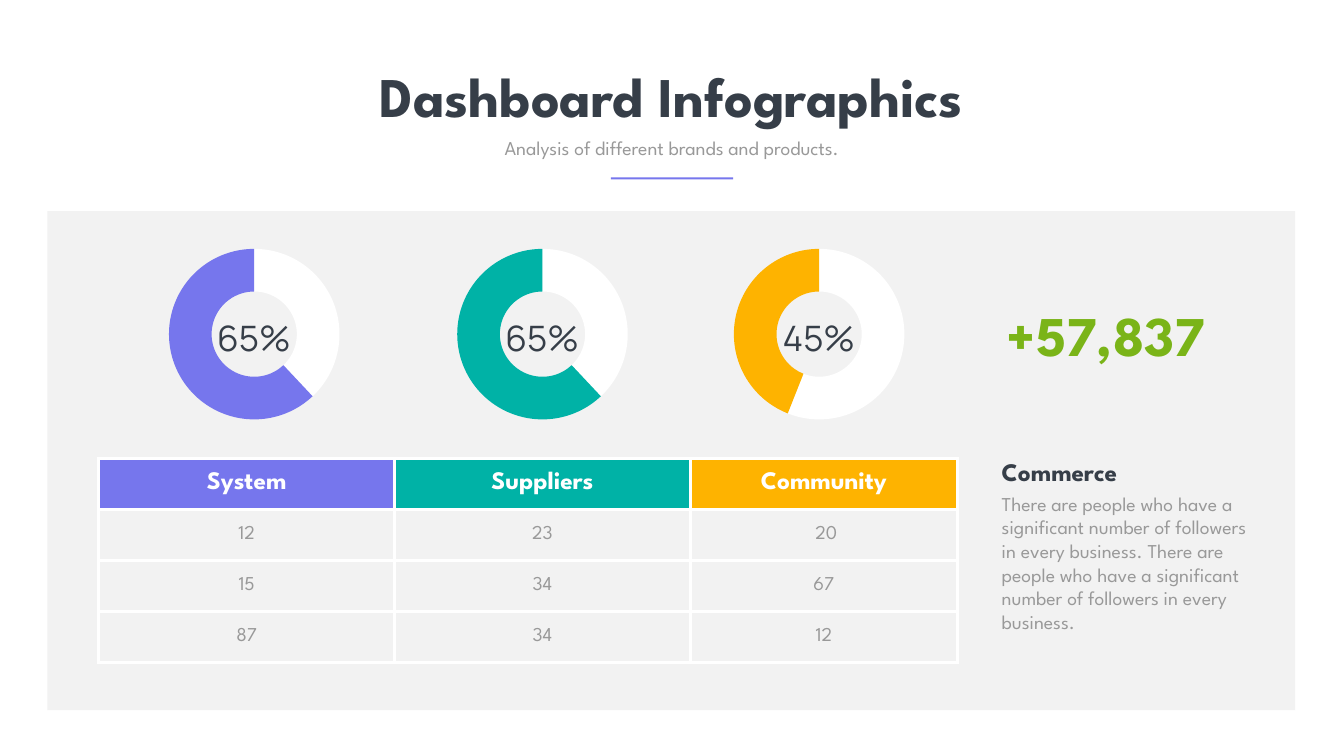
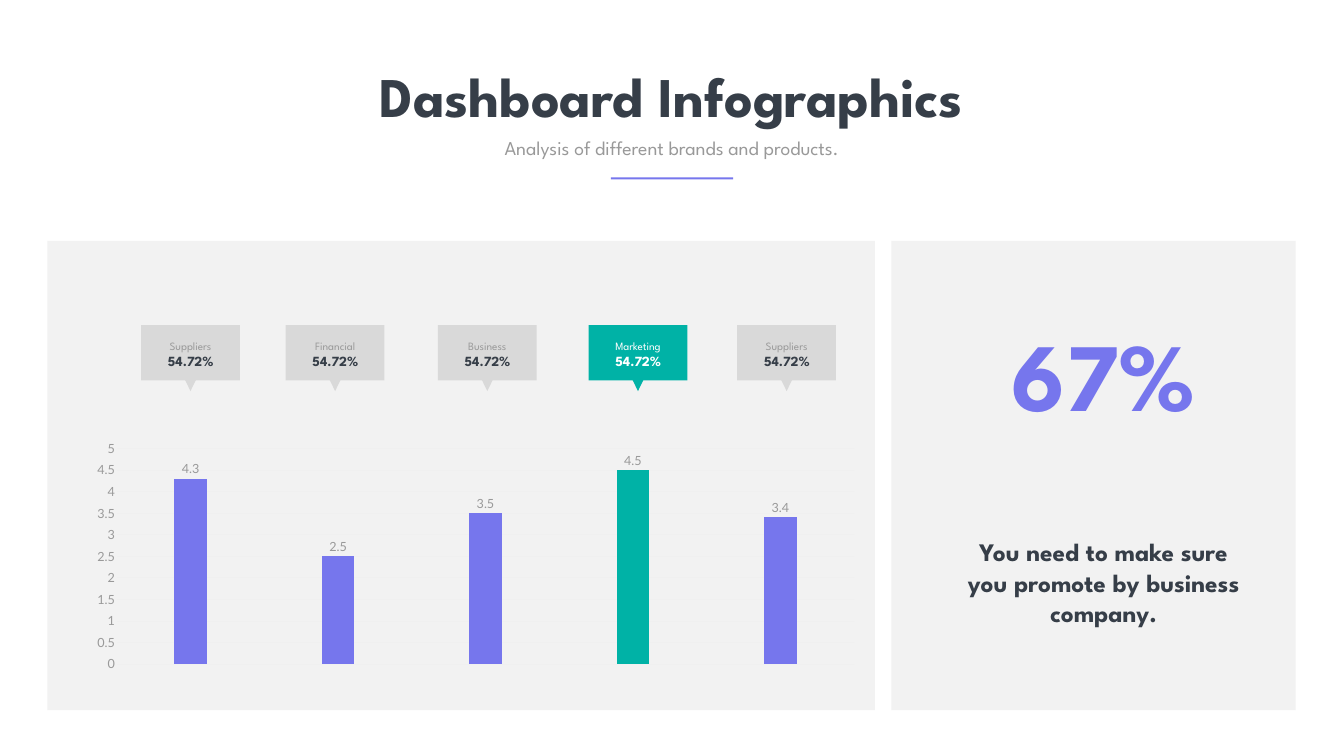
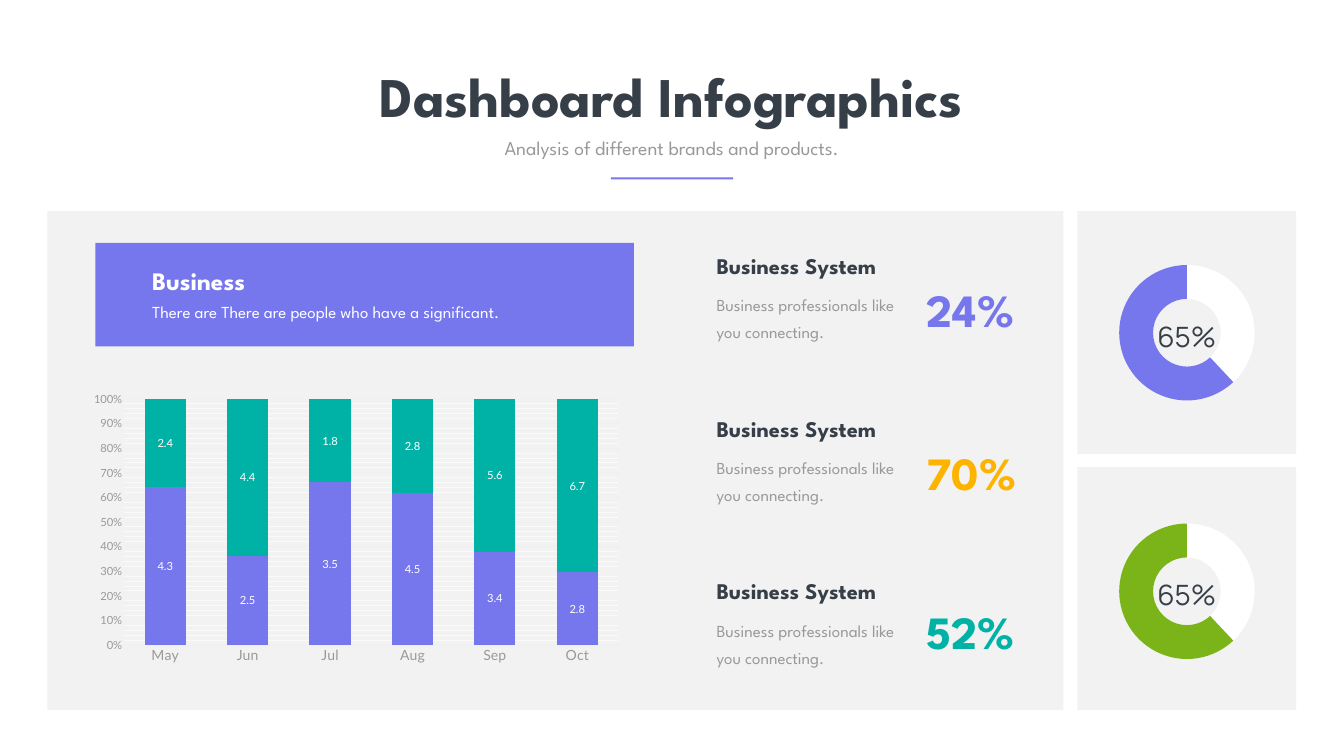
from dataclasses import dataclass
from typing import NamedTuple

from lxml.etree import SubElement
from pptx import Presentation
from pptx.chart.chart import Chart
from pptx.chart.data import CategoryChartData as Data
from pptx.dml.color import RGBColor
from pptx.dml.fill import FillFormat as Fill
from pptx.enum.chart import XL_CHART_TYPE as Kind
from pptx.enum.chart import XL_LABEL_POSITION as Spot
from pptx.enum.chart import XL_TICK_MARK as Tick
from pptx.enum.shapes import MSO_SHAPE as Form
from pptx.enum.text import MSO_ANCHOR as Anchor
from pptx.enum.text import MSO_AUTO_SIZE as Auto
from pptx.enum.text import PP_ALIGN as Align
from pptx.oxml.ns import qn
from pptx.oxml.xmlchemy import BaseOxmlElement as Node
from pptx.shapes.autoshape import Shape
from pptx.slide import Slide
from pptx.text.text import Font
from pptx.util import Inches, Pt

# Shared colours and fonts
VIOLET, TEAL, AMBER, GREEN = "7676ED", "00B2A6", "FEB300", "7AB418"
INK, GREY, PALE, SILVER, WHITE = "363E48", "999999", "F2F2F2", "D9D9D9", "FFFFFF"
GRID, FINE = "F0F0F0", "FAFAFA"
SPARTAN, LATO, MANROPE = "League Spartan", "Lato", "Manrope"


class Box(NamedTuple):
    left: float
    top: float
    width: float
    height: float


class Style(NamedTuple):
    size: float
    color: str
    bold: bool = False
    face: str = SPARTAN


@dataclass
class Ring:
    left: float
    top: float
    color: str
    rest: int
    label: str
    scale: float = 1


@dataclass
class Flag:
    left: float
    name: str
    fill: str = SILVER
    soft: str = GREY
    strong: str = INK


@dataclass
class Stat:
    value: str
    color: str
    top: float


HEAD = Style(36, INK, True)
BODY = Style(28, GREY)


# Basic parts
def rgb(code: str) -> RGBColor:
    return RGBColor.from_string(code)


def paint(fill: Fill, color: str) -> None:
    fill.solid()
    fill.fore_color.rgb = rgb(color)


def stroke(node: Node, tag: str, width: float, color: str) -> None:
    """Add a solid line element under an XML node."""
    line = SubElement(node, qn(tag), w=str(Pt(width)))
    SubElement(SubElement(line, qn("a:solidFill")), qn("a:srgbClr"), val=color)


def dress(font: Font, style: Style) -> None:
    font.size = Pt(style.size)
    font.name = style.face
    font.bold = style.bold
    font.color.rgb = rgb(style.color)


def place(box: Box) -> list[int]:
    return [Inches(n) for n in box]


def block(slide: Slide, box: Box, color: str = PALE, form: Form = Form.RECTANGLE) -> Shape:
    shape = slide.shapes.add_shape(form, *place(box))
    shape.shadow.inherit = False
    paint(shape.fill, color)
    shape.line.fill.background()
    return shape


def write(shape: Shape, words: str, style: Style, align: Align, wrap: bool, pitch: float) -> None:
    frame = shape.text_frame
    frame.word_wrap = wrap
    frame.auto_size = Auto.SHAPE_TO_FIT_TEXT
    frame.vertical_anchor = Anchor.TOP
    para = frame.paragraphs[0]
    para.alignment = align
    if pitch:
        para.line_spacing = Pt(pitch)
    run = para.add_run()
    run.text = words
    dress(run.font, style)


def text(slide: Slide, box: Box, words: str, style: Style, align: Align = Align.LEFT,
         wrap: bool = True, pitch: float = 0) -> None:
    write(slide.shapes.add_textbox(*place(box)), words, style, align, wrap, pitch)


def start(deck: Presentation) -> Slide:
    """Add a slide with the title, subtitle and accent rule."""
    slide = deck.slides.add_slide(deck.slide_layouts[5])
    title = slide.shapes.title
    title.left, title.top, title.width, title.height = place(Box(6.69, 1.17, 13.27, 1.45))
    write(title, "Dashboard Infographics", Style(80, INK, True), Align.CENTER, False, 0)
    text(slide, Box(8.55, 2.65, 9.56, 0.57), "Analysis of different brands and products.",
         BODY, Align.CENTER)
    block(slide, Box(12.12, 3.52, 2.43, 0.04), VIOLET)
    return slide


# Charts
def graph(slide: Slide, box: Box, kind: Kind, cats: list[str],
          rows: list[list[float]], style: Style) -> Chart:
    data = Data()
    data.categories = cats
    for num, row in enumerate(rows, 1):
        data.add_series(f"Series {num}", row)
    chart = slide.shapes.add_chart(kind, *place(box), data).chart
    chart.has_legend = False
    chart.has_title = False
    dress(chart.font, style)
    return chart


def bars(slide: Slide, box: Box, kind: Kind, cats: list[str], rows: list[list[float]],
         size: float, gap: int, lap: int, tag: str, spot: Spot) -> Chart:
    chart = graph(slide, box, kind, cats, rows, Style(size, GREY, face=LATO))
    plot = chart.plots[0]
    plot.vary_by_categories = False
    plot.gap_width, plot.overlap = gap, lap
    for series, color in zip(plot.series, (VIOLET, TEAL)):
        paint(series.format.fill, color)
        labels = series.data_labels
        labels.show_value = True
        labels.position = spot
        dress(labels.font, Style(size, tag, face=LATO))
    axis = chart.value_axis
    axis.major_tick_mark = axis.minor_tick_mark = Tick.NONE
    axis.format.line.fill.background()
    axis.has_major_gridlines = True
    line = axis.major_gridlines.format.line
    line.width = Pt(0.75)
    paint(line.fill, GRID)
    return chart


def donut(slide: Slide, ring: Ring) -> None:
    def scaled(x: float, y: float, wide: float, high: float) -> Box:
        k = ring.scale
        return Box(ring.left + x * k, ring.top + y * k, wide * k, high * k)

    chart = graph(slide, scaled(0, 0, 5.49, 3.66), Kind.DOUGHNUT, ["1", "2"],
                  [[ring.rest, 100 - ring.rest]], Style(10, GREY, face="Calibri"))
    plot = chart.plots[0]
    plot.has_data_labels = False
    chart.element.find(".//" + qn("c:holeSize")).set("val", "75")
    for num, color in enumerate((WHITE, ring.color)):
        part = plot.series[0].points[num].format
        paint(part.fill, color)
        part.line.fill.background()
    text(slide, scaled(1.7, 1.44, 2.08, 0.81), ring.label,
         Style(round(50 * ring.scale), INK, face=MANROPE), Align.CENTER)


# Table
def grid(slide: Slide, box: Box, widths: list[float], rows: list[list[str]],
         heads: list[str]) -> None:
    table = slide.shapes.add_table(len(rows), len(widths), *place(box)).table
    table.horz_banding = False
    for col, width in zip(table.columns, widths):
        col.width = Inches(width)
    for r, row in enumerate(rows):
        table.rows[r].height = Inches(box.height / len(rows))
        for c, words in enumerate(row):
            cell = table.cell(r, c)
            props = cell._tc.get_or_add_tcPr()
            for side in ("L", "R", "T", "B"):
                stroke(props, f"a:ln{side}", 4.5, WHITE)
            paint(cell.fill, PALE if r else heads[c])
            cell.vertical_anchor = Anchor.MIDDLE
            cell.margin_left = cell.margin_right = Inches(0.09)
            cell.margin_top = cell.margin_bottom = Inches(0.04)
            para = cell.text_frame.paragraphs[0]
            para.alignment = Align.CENTER
            run = para.add_run()
            run.text = words
            dress(run.font, BODY if r else Style(36, WHITE, True))


# Slides
def totals(deck: Presentation) -> None:
    slide = start(deck)
    block(slide, Box(0.94, 4.19, 24.76, 9.9))
    grid(slide, Box(1.96, 9.09, 17.04, 4.05), [5.87, 5.87, 5.3],
         [["System", "Suppliers", "Community"],
          ["12", "23", " 20"], ["15", "34", "67"], ["87", "34", "12"]],
         [VIOLET, TEAL, AMBER])
    for ring in (Ring(2.3, 4.8, VIOLET, 38, "65%"), Ring(8.02, 4.8, TEAL, 38, "65%"),
                 Ring(13.51, 4.8, AMBER, 56, "45%")):
        donut(slide, ring)
    text(slide, Box(19.78, 9, 5.54, 0.71), "Commerce", HEAD)
    claim = "There are people who have a significant number of followers in every business."
    text(slide, Box(19.78, 9.71, 5.25, 3.87), f"{claim} {claim}", BODY)
    text(slide, Box(19.78, 5.91, 4.33, 1.45), "+57,837", Style(80, GREEN, True),
         Align.CENTER, False)


def flags(deck: Presentation) -> None:
    slide = start(deck)
    block(slide, Box(0.94, 4.78, 16.42, 9.31))
    block(slide, Box(17.69, 4.78, 8.02, 9.31))
    chart = bars(slide, Box(1.62, 8.65, 15.64, 4.77), Kind.COLUMN_CLUSTERED,
                 ["1", "2", "3", "4", "5"], [[4.3, 2.5, 3.5, 4.5, 3.4]],
                 18, 350, -27, GREY, Spot.OUTSIDE_END)
    chart.category_axis.visible = False
    axis = chart.value_axis
    axis.minimum_scale, axis.maximum_scale, axis.major_unit = 0, 5, 0.5
    paint(chart.plots[0].series[0].points[3].format.fill, TEAL)

    # Callouts above the columns
    for flag in (Flag(2.8, "Suppliers"), Flag(5.67, "Financial"), Flag(8.69, "Business"),
                 Flag(11.68, "Marketing", TEAL, WHITE, WHITE), Flag(14.63, "Suppliers")):
        block(slide, Box(flag.left, 6.45, 1.96, 1.1), flag.fill)
        tip = block(slide, Box(flag.left + 0.81, 7.41, 0.34, 0.35), flag.fill,
                    Form.ISOSCELES_TRIANGLE)
        tip.rotation = 180
        text(slide, Box(flag.left, 6.39, 1.96, 0.58), flag.name, Style(16, flag.soft),
             Align.CENTER, pitch=40.8)
        text(slide, Box(flag.left + 0.36, 6.95, 1.25, 0.44), "54.72%",
             Style(20, flag.strong, True), Align.CENTER)

    text(slide, Box(19.08, 10.6, 5.64, 1.92),
         "You need to make sure you promote by business company.", HEAD, Align.CENTER)
    text(slide, Box(19.89, 6.2, 4.03, 2.42), "67%", Style(138, VIOLET, True),
         Align.CENTER, False)


def months(deck: Presentation) -> None:
    slide = start(deck)
    block(slide, Box(0.94, 4.19, 20.16, 9.9))

    # Banner
    band = block(slide, Box(1.89, 4.82, 10.69, 2.05), VIOLET, Form.ROUNDED_RECTANGLE)
    band.adjustments[0] = 0
    text(slide, Box(2.92, 5.22, 5.52, 0.71), "Business", Style(36, WHITE, True))
    text(slide, Box(2.92, 5.93, 8.66, 0.5),
         "There are There are people who have a significant.", Style(24, WHITE))

    # Figures
    for num, stat in enumerate((Stat("24%", VIOLET, 5.53), Stat("70%", AMBER, 8.77),
                                Stat("52%", TEAL, 11.93))):
        top = 4.95 + 3.23 * num
        text(slide, Box(18.29, stat.top, 2.31, 1.21), stat.value, Style(66, stat.color, True))
        text(slide, Box(14.12, top + 0.71, 3.89, 1.18),
             "Business professionals like you connecting.", Style(24, GREY), pitch=38.6)
        text(slide, Box(14.12, top, 3.63, 0.64), "Business System", Style(32, INK, True))

    # Side panels
    for num, color in enumerate((VIOLET, GREEN)):
        block(slide, Box(21.38, 4.19 + 5.08 * num, 4.34, 4.82))
        donut(slide, Ring(21.33, 5.12 + 5.13 * num, color, 38, "65%", 0.81))

    # Monthly shares
    chart = bars(slide, Box(1.65, 7.67, 10.84, 5.62), Kind.COLUMN_STACKED_100,
                 ["May", "Jun", "Jul", "Aug", "Sep", "Oct"],
                 [[4.3, 2.5, 3.5, 4.5, 3.4, 2.8], [2.4, 4.4, 1.8, 2.8, 5.6, 6.7]],
                 16, 100, 100, WHITE, Spot.CENTER)
    base = chart.category_axis
    base.major_tick_mark = Tick.NONE
    base.format.line.width = Pt(0.75)
    paint(base.format.line.fill, GRID)
    dress(base.tick_labels.font, Style(20, GREY, face=LATO))
    axis = chart.value_axis
    axis.major_unit = 0.1
    axis.tick_labels.number_format = "0%"
    axis.tick_labels.number_format_is_linked = False
    axis.has_minor_gridlines = True
    minor = chart.element.find(".//" + qn("c:minorGridlines"))
    stroke(SubElement(minor, qn("c:spPr")), "a:ln", 0.75, FINE)


def main() -> None:
    deck = Presentation()
    deck.slide_width, deck.slide_height = Inches(26.67), Inches(15)
    for build in (totals, flags, months):
        build(deck)
    deck.save("out.pptx")


if __name__ == "__main__":
    main()
